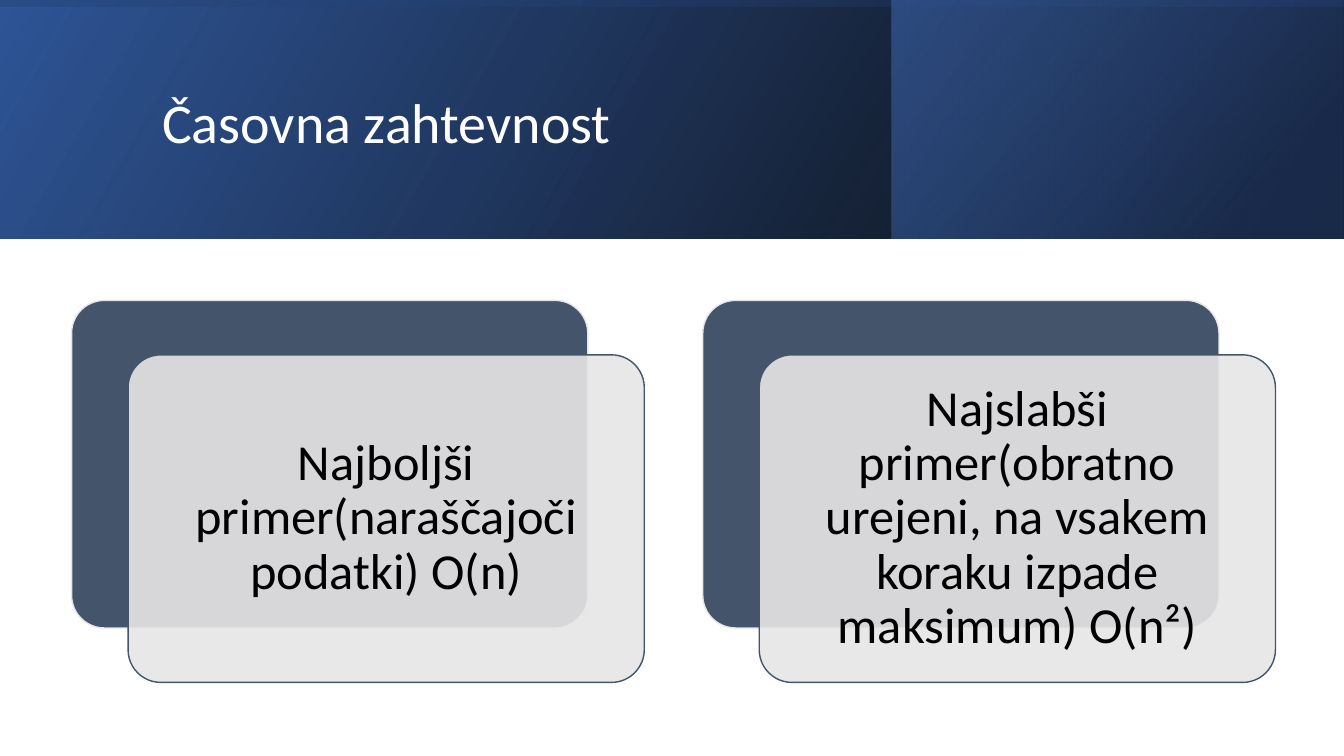
"""Build the slide on best and worst case time complexity."""
import pptx
import pptx.dml.color
import pptx.enum.shapes
import pptx.enum.text
import pptx.oxml
import pptx.oxml.ns
import pptx.util

Inches = pptx.util.Inches
RGB = pptx.dml.color.RGBColor.from_string
SHAPE = pptx.enum.shapes.MSO_SHAPE
ALIGN = pptx.enum.text.PP_ALIGN

TITLE = "Časovna zahtevnost"
CASES = [
    "Najboljši primer(naraščajoči podatki) O(n)",
    "Najslabši primer(obratno urejeni, na vsakem koraku izpade maksimum) O(n²)",
]
THEME = {
    "font": "Calibri", "title_size": 40, "case_size": 36,
    "title": "FFFFFF", "text": "000000",
    "dark": "44546A", "light": "E7E6E6", "light_alpha": 90,
}
SLIDE_W, SLIDE_H, BAND_H = 13.33, 7.5, 2.37
BANDS = [
    {"box": (0, 0, SLIDE_W, BAND_H), "angle": 330, "rotation": 0,
     "stops": [(0, "000000", 96), (100, "2F5597", 100)]},
    {"box": (8.84, 0, 4.48, BAND_H), "angle": 320, "rotation": 0,
     "stops": [(19, "203864", 68), (100, "4472C4", 48)]},
    {"box": ((SLIDE_W - BAND_H) / 2, (BAND_H - SLIDE_W) / 2, BAND_H, SLIDE_W),
     "angle": 350, "rotation": 270,
     "stops": [(23, "2F5597", 16), (99, "000000", 45)]},
]
CARD_W, CARD_H, CARD_X, CARD_Y, CARD_PITCH = 5.12, 3.25, 0.71, 2.98, 6.26
SHIFT_X, SHIFT_Y, TEXT_PAD = 0.56, 0.54, 0.1


def add_band(slide, box, angle, rotation, stops):
    """Add a mirrored rectangle with a translucent gradient."""
    sp = slide.shapes.add_shape(SHAPE.RECTANGLE, *map(Inches, box))
    sp.shadow.inherit = False
    sp.line.fill.background()
    sp.rotation = rotation
    sp.fill.background()
    spPr = sp.element.spPr
    spPr.find(pptx.oxml.ns.qn("a:xfrm")).set("flipH", "1")
    gs = "".join(
        f'<a:gs pos="{pos * 1000}"><a:srgbClr val="{color}">'
        f'<a:alpha val="{alpha * 1000}"/></a:srgbClr></a:gs>'
        for pos, color, alpha in stops)
    grad = pptx.oxml.parse_xml(
        f'<a:gradFill {pptx.oxml.ns.nsdecls("a")} rotWithShape="1"><a:gsLst>{gs}</a:gsLst>'
        f'<a:lin ang="{angle * 60000}" scaled="0"/></a:gradFill>')
    spPr.replace(spPr.find(pptx.oxml.ns.qn("a:noFill")), grad)


def add_card(slide, x, y, fill, line, alpha=100):
    """Add one rounded card."""
    sp = slide.shapes.add_shape(
        SHAPE.ROUNDED_RECTANGLE, *map(Inches, (x, y, CARD_W, CARD_H)))
    sp.adjustments[0] = 0.1
    sp.shadow.inherit = False
    sp.fill.solid()
    sp.fill.fore_color.rgb = RGB(fill)
    sp.line.color.rgb = RGB(line)
    sp.line.width = pptx.util.Pt(1)
    if alpha < 100:
        color = sp.element.spPr.find(pptx.oxml.ns.qn("a:solidFill"))[0]
        color.append(pptx.oxml.parse_xml(
            f'<a:alpha {pptx.oxml.ns.nsdecls("a")} val="{alpha * 1000}"/>'))


def add_text(slide, text, box, *, size, color, align=ALIGN.LEFT, inset=None):
    """Add a vertically centred, wrapping text box."""
    tf = slide.shapes.add_textbox(*map(Inches, box)).text_frame
    tf.word_wrap = True
    tf.vertical_anchor = pptx.enum.text.MSO_ANCHOR.MIDDLE
    if inset is not None:
        tf.margin_left = tf.margin_right = Inches(inset)
        tf.margin_top = tf.margin_bottom = Inches(inset)
    p = tf.paragraphs[0]
    p.alignment = align
    p.line_spacing = 0.9
    r = p.add_run()
    r.text = text
    r.font.name = THEME["font"]
    r.font.size = pptx.util.Pt(size)
    r.font.color.rgb = RGB(color)


def main():
    """Assemble and save the slide."""
    prs = pptx.Presentation()
    prs.slide_width, prs.slide_height = Inches(SLIDE_W), Inches(SLIDE_H)
    slide = prs.slides.add_slide(prs.slide_layouts[6])
    for band in BANDS:
        add_band(slide, **band)
    add_text(slide, TITLE, (1.51, 0.38, 10.63, 1.72),
             size=THEME["title_size"], color=THEME["title"])
    for i, case in enumerate(CASES):
        x = CARD_X + i * CARD_PITCH
        front_x, front_y = x + SHIFT_X, CARD_Y + SHIFT_Y
        add_card(slide, x, CARD_Y, THEME["dark"], THEME["light"])
        add_card(slide, front_x, front_y, THEME["light"], THEME["dark"],
                 THEME["light_alpha"])
        add_text(slide, case,
                 (front_x + TEXT_PAD, front_y + TEXT_PAD,
                  CARD_W - 2 * TEXT_PAD, CARD_H - 2 * TEXT_PAD),
                 size=THEME["case_size"], color=THEME["text"],
                 align=ALIGN.CENTER, inset=0.15)
    prs.save("out.pptx")


if __name__ == "__main__":
    main()
